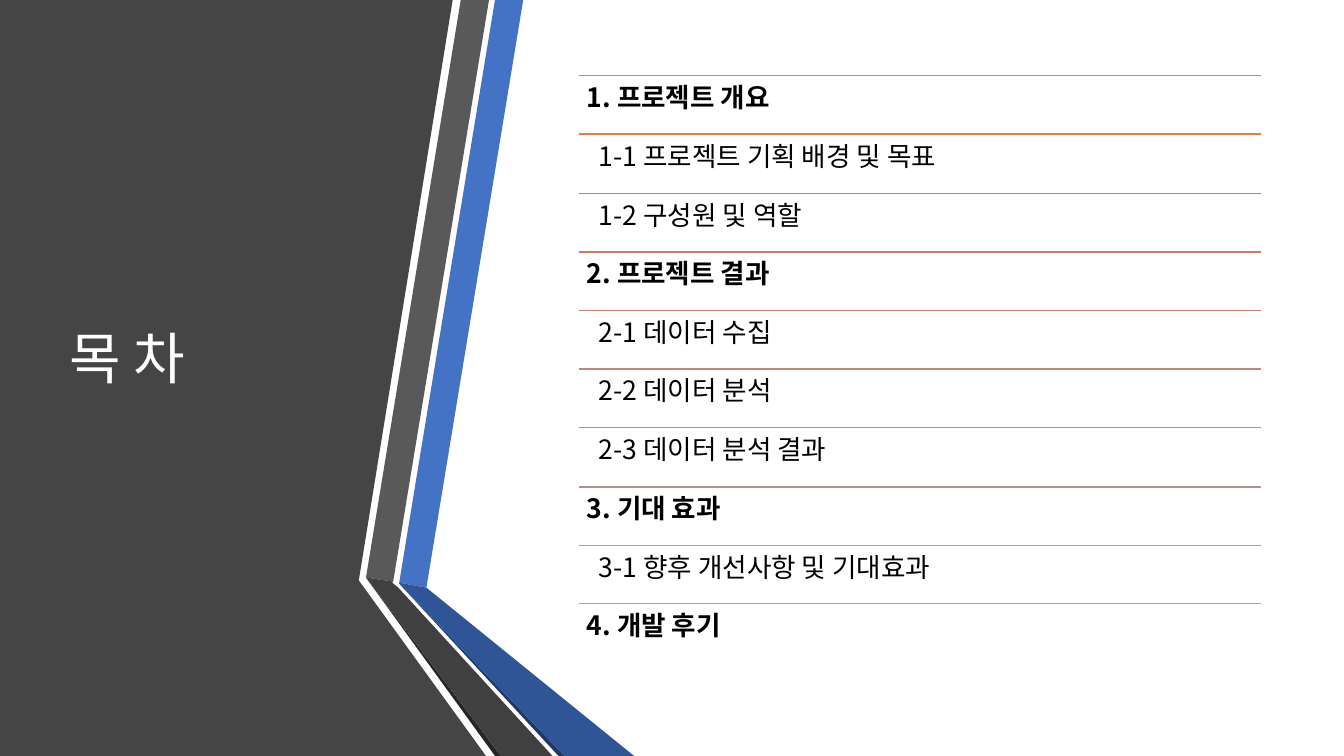
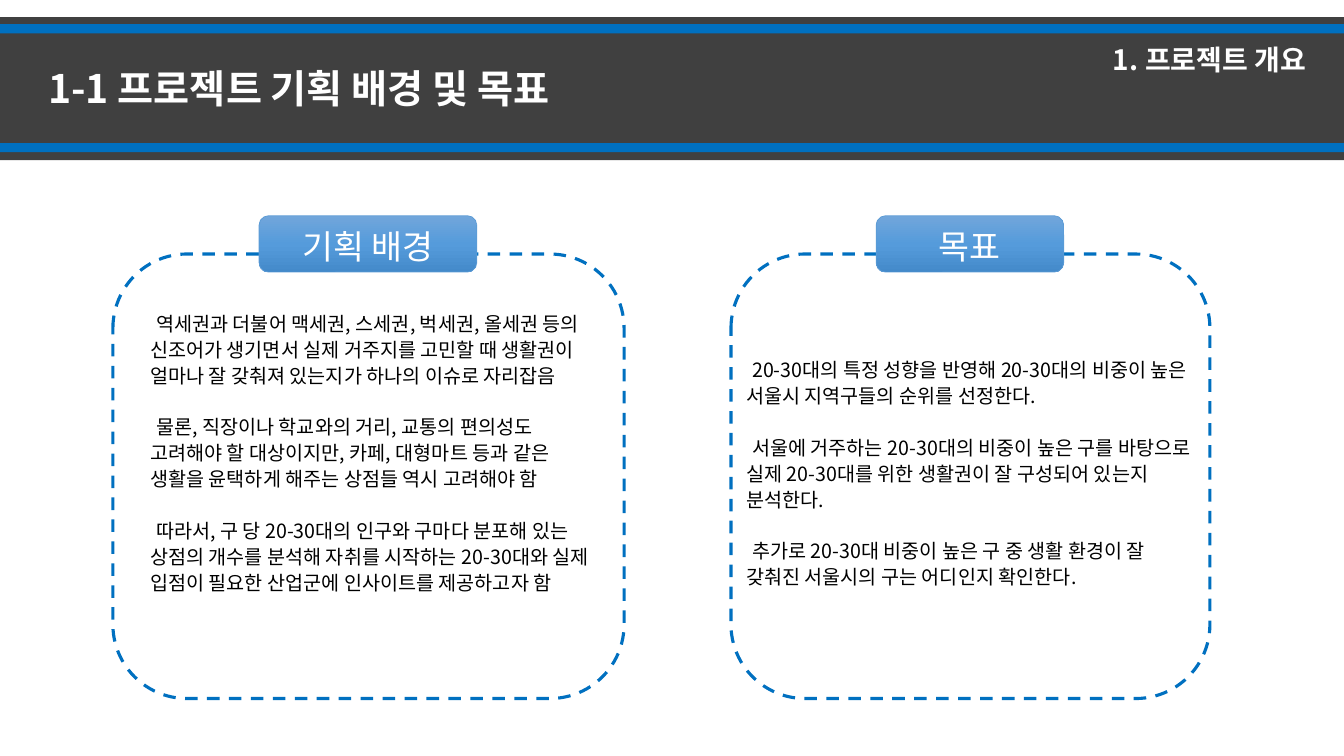
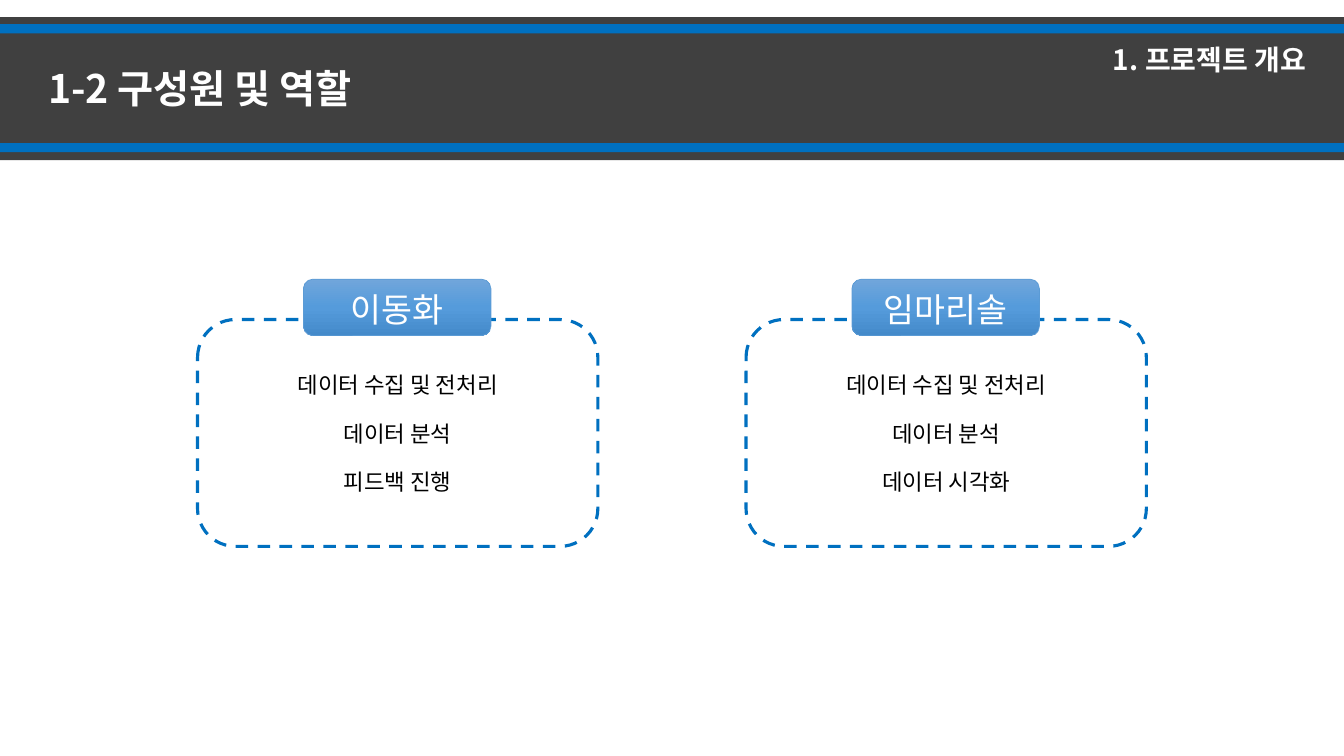
from copy import deepcopy
from dataclasses import dataclass

from lxml.etree import SubElement
from pptx import Presentation
from pptx.dml.color import RGBColor
from pptx.enum.dml import MSO_LINE
from pptx.enum.shapes import MSO_CONNECTOR, MSO_SHAPE
from pptx.enum.text import MSO_ANCHOR, MSO_AUTO_SIZE, PP_ALIGN
from pptx.oxml.ns import qn
from pptx.util import Pt

PX = 9144  # EMU per px, 100 px to the inch
WIDE, HIGH = 1333, 750


@dataclass(frozen=True)
class Theme:
    face: str = "Noto Sans CJK KR"
    # Colours
    ink: str = "000000"
    paper: str = "FFFFFF"
    band: str = "404040"
    blue: str = "0070C0"
    edge: str = "5B9BD5"
    glow: tuple = ("71A6DB", "559BDB", "448ACA")
    facets: tuple = ("454545", "4472C4", "595959", "262626", "203864",
                     "2F5597", "404040")
    rules: tuple = ("ED7D31", "E37A40", "DA7A4E", "D17B5C", "C87F69",
                    "C08376", "B98A82", "B2928E", "AB9B9A", "A5A5A5")
    # Type sizes
    cover: int = 40
    title: int = 28
    label: int = 24
    corner: int = 20
    entry: int = 19
    role: int = 16
    body: int = 14
    # Line heights, in multiples of the type size
    tight: float = 1.1
    line: float = 1.2
    loose: float = 1.32


def rgb(code):
    return RGBColor.from_string(code)


class Deck:
    def __init__(self, theme):
        self.theme = theme
        self.prs = Presentation()
        self.prs.slide_width, self.prs.slide_height = WIDE * PX, HIGH * PX
        self.slide = None

    def page(self):
        layout = self.prs.slide_layouts[5]
        self.slide = self.prs.slides.add_slide(layout)

    def put(self, frame, lines, size, color, bold=False, lead=None, gap=0,
            align=PP_ALIGN.LEFT, anchor=MSO_ANCHOR.TOP, pad=(10, 5),
            inset=0, first=0):
        """Fill a text frame with equally styled paragraphs."""
        frame.word_wrap = True
        frame.auto_size = MSO_AUTO_SIZE.NONE
        frame.vertical_anchor = anchor
        frame.margin_left = frame.margin_right = pad[0] * PX
        frame.margin_top = frame.margin_bottom = pad[1] * PX
        for i, text in enumerate(lines):
            para = frame.add_paragraph() if i else frame.paragraphs[0]
            para.text = text
            para.alignment = align
            para.line_spacing = Pt(size * (lead or self.theme.line))
            para.space_before = Pt(gap if i else 0)
            props = para._p.get_or_add_pPr()
            props.set("marL", str(inset * PX))
            props.set("indent", str(first * PX))
            font = para.font
            font.name, font.size, font.bold = self.theme.face, Pt(size), bold
            font.color.rgb = rgb(color)
            east = SubElement(props.get_or_add_defRPr(), qn("a:ea"))
            east.set("typeface", self.theme.face)

    def text(self, x, y, w, h, lines, size, color, **style):
        box = self.slide.shapes.add_textbox(x * PX, y * PX, w * PX, h * PX)
        self.put(box.text_frame, lines, size, color, **style)

    def title(self, x, y, w, h, text, size, **style):
        head = self.slide.shapes.title
        head.left, head.top, head.width, head.height = (
            n * PX for n in (x, y, w, h))
        self.put(head.text_frame, [text], size, self.theme.paper, **style)
        self.slide.shapes._spTree.append(head._element)  # bring to front

    def shape(self, kind, x, y, w, h, fill=None):
        item = self.slide.shapes.add_shape(
            kind, x * PX, y * PX, w * PX, h * PX)
        item.shadow.inherit = False
        item.line.fill.background()
        if fill:
            item.fill.solid()
            item.fill.fore_color.rgb = rgb(fill)
        else:
            item.fill.background()
        return item

    def facet(self, color, points):
        pen = self.slide.shapes.build_freeform(*points[0], scale=PX)
        pen.add_line_segments(points[1:], close=True)
        item = pen.convert_to_shape()
        item.shadow.inherit = False
        item.fill.solid()
        item.fill.fore_color.rgb = rgb(color)
        item.line.fill.background()

    def rule(self, x, y, w, color):
        line = self.slide.shapes.add_connector(
            MSO_CONNECTOR.STRAIGHT, x * PX, y * PX, (x + w) * PX, y * PX)
        line.line.color.rgb = rgb(color)
        line.line.width = Pt(1)
        SubElement(line._element.spPr, qn("a:effectLst"))

    def head(self, title, part):
        """Banded page head with title and part name."""
        look = self.theme
        for y, h, fill in ((17, 142, look.band), (142, 9, look.blue),
                           (24, 9, look.blue)):
            self.shape(MSO_SHAPE.RECTANGLE, 0, y, WIDE, h, fill)
        self.text(1094, 37, 232, 44, [part], look.corner, look.paper,
                  bold=True)
        self.title(38, 59, 600, 57, title, look.title, bold=True)

    def card(self, x, y, w, h, label, wide, rise):
        """Dashed frame with a label centred on its top edge."""
        look = self.theme
        frame = self.shape(MSO_SHAPE.ROUNDED_RECTANGLE, x, y, w, h)
        frame.line.color.rgb = rgb(look.blue)
        frame.line.width = Pt(2.25)
        frame.line.dash_style = MSO_LINE.DASH
        tag = self.shape(MSO_SHAPE.ROUNDED_RECTANGLE,
                         x + (w - wide) // 2, y - rise, wide, 56)
        tag.line.color.rgb = rgb(look.edge)
        tag.line.width = Pt(0.5)
        tag.fill.gradient()
        tag.fill.gradient_angle = 270
        stops = tag._element.spPr.find(qn("a:gradFill")).find(qn("a:gsLst"))
        stops.append(deepcopy(stops[0]))
        for i, stop in enumerate(tag.fill.gradient_stops):
            stop.position = i / 2
            stop.color.rgb = rgb(look.glow[i])
        self.put(tag.text_frame, [label], look.label, look.paper,
                 lead=look.loose, align=PP_ALIGN.CENTER,
                 anchor=MSO_ANCHOR.MIDDLE)


FACETS = (
    [(0, 0), (353, 0), (449, 0), (356, 575), (356, 576), (482, 750),
     (0, 750)],
    [(396, 578), (423, 583), (519, 0), (491, 0)],
    [(485, 0), (457, 0), (363, 573), (390, 577)],
    [(363, 573), (491, 750), (497, 750)],
    [(396, 579), (554, 750), (560, 750)],
    [(396, 578), (396, 579), (560, 750), (629, 750), (423, 583)],
    [(548, 750), (395, 583), (389, 578), (390, 577), (363, 573), (497, 750)],
)
TOPICS = (
    "1. 프로젝트 개요", "1-1 프로젝트 기획 배경 및 목표", "1-2 구성원 및 역할",
    "2. 프로젝트 결과", "2-1 데이터 수집", "2-2 데이터 분석",
    "2-3 데이터 분석 결과", "3. 기대 효과", "3-1 향후 개선사항 및 기대효과",
    "4. 개발 후기",
)
PART = TOPICS[0]
CAUSE = (
    "역세권과 더불어 맥세권, 스세권, 벅세권, 올세권 등의 신조어가 생기면서 실제 거주지를 "
    "고민할 때 생활권이 얼마나 잘 갖춰져 있는지가 하나의 이슈로 자리잡음",
    "물론, 직장이나 학교와의 거리, 교통의 편의성도 고려해야 할 대상이지만, 카페, 대형마트 "
    "등과 같은 생활을 윤택하게 해주는 상점들 역시 고려해야 함",
    "따라서, 구 당 20-30대의 인구와 구마다 분포해 있는 상점의 개수를 분석해 자취를 시작하는 "
    "20-30대와 실제 입점이 필요한 산업군에 인사이트를 제공하고자 함",
)
GOALS = (
    "20-30대의 특정 성향을 반영해 20-30대의 비중이 높은 서울시 지역구들의 순위를 선정한다.",
    "서울에 거주하는 20-30대의 비중이 높은 구를 바탕으로 실제 20-30대를 위한 생활권이 잘 "
    "구성되어 있는지 분석한다.",
    "추가로 20-30대 비중이 높은 구 중 생활 환경이 잘 갖춰진 서울시의 구는 어디인지 확인한다.",
)
TEAM = (
    (196, "이동화", ("데이터 수집 및 전처리", "데이터 분석", "피드백 진행")),
    (740, "임마리솔", ("데이터 수집 및 전처리", "데이터 분석", "데이터 시각화")),
)


def main():
    look = Theme()
    deck = Deck(look)

    # Contents
    deck.page()
    for color, points in zip(look.facets, FACETS):
        deck.facet(color, points)
    deck.title(59, 75, 304, 558, "목 차", look.cover,
               anchor=MSO_ANCHOR.MIDDLE)
    for i, (topic, color) in enumerate(zip(TOPICS, look.rules)):
        y = round(75 + 58.25 * i)
        major = topic[1] == "."
        deck.rule(574, y, 677, color)
        deck.text(574, y, 677, 58, [topic], look.entry, look.ink,
                  bold=major, lead=look.tight, pad=(8, 8),
                  inset=0 if major else 12)

    # Background and goals
    deck.page()
    deck.head(TOPICS[1], PART)
    for x, w, label, wide, left, top, room, lines in (
            (112, 507, "기획 배경", 216, 149, 307, 440, CAUSE),
            (725, 475, "목표", 186, 740, 353, 448, GOALS)):
        deck.card(x, 252, w, 441, label, wide, 38)
        deck.text(left, top, room, 680 - top, lines, look.body, look.ink,
                  lead=look.loose, gap=18.5, pad=(0, 0), first=6)

    # Members and roles
    deck.page()
    deck.head(TOPICS[2], PART)
    for x, name, roles in TEAM:
        deck.card(x, 317, 397, 225, name, 186, 40)
        deck.text(x, 366, 397, 148, roles, look.role, look.ink,
                  lead=look.loose, gap=13.2, pad=(0, 0),
                  align=PP_ALIGN.CENTER)

    deck.prs.save("out.pptx")


if __name__ == "__main__":
    main()
